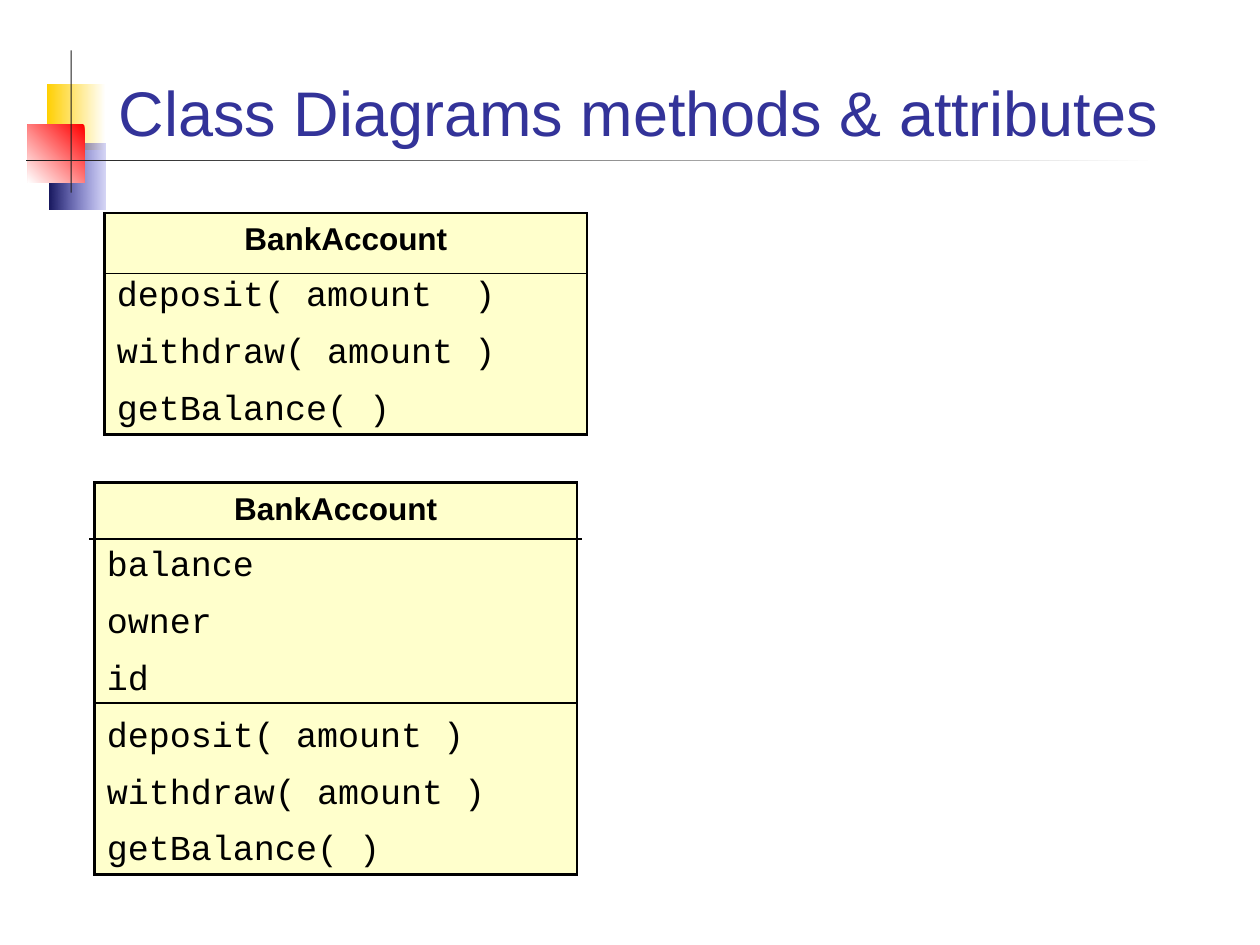
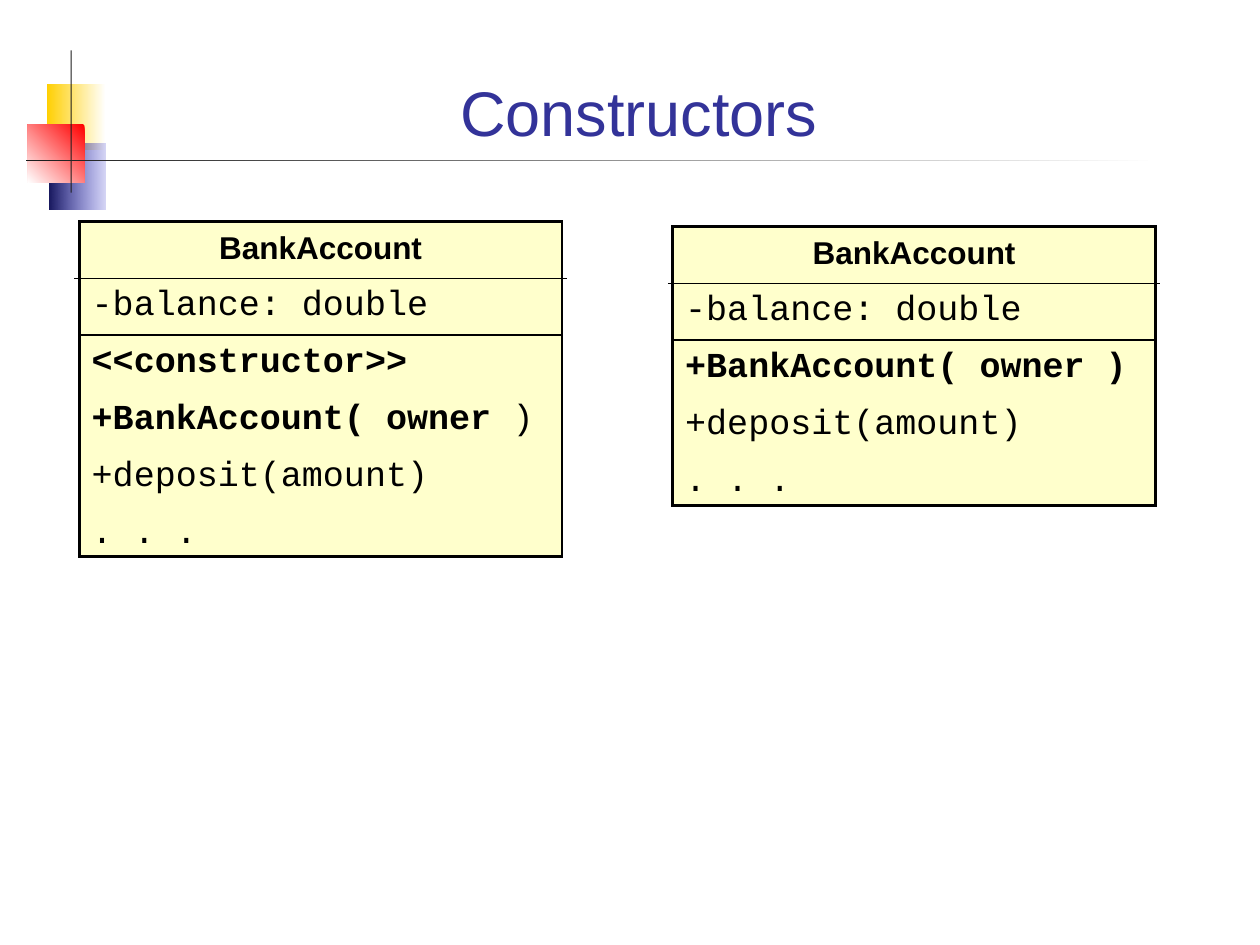
from dataclasses import dataclass
from typing import NamedTuple

from lxml import etree
from pptx import Presentation
from pptx import util as u
from pptx.dml.color import RGBColor
from pptx.enum import shapes, text
from pptx.oxml.ns import qn

HUES = {
    "title": "333399", "ink": "000000", "paper": "FFFFCC", "white": "FFFFFF",
    "gold": "FFCF01", "blue": "3333CC", "navy": "17175E", "red": "FF0000",
    "dark": "1C1C1C",
}
FONTS = {
    "title": {"name": "Arial", "size": u.Pt(36), "bold": False},
    "head": {"name": "Arial", "size": u.Pt(18), "bold": True},
    "code": {"name": "Courier New", "size": u.Pt(20), "bold": False},
}
WIDE = 3.83


class Band(NamedTuple):
    left: float
    top: float
    width: float
    height: float
    start: str
    end: str
    angle: int = 180
    alpha: int = 100


class Row(NamedTuple):
    plain: str = ""
    bold: str = ""


class Rule(NamedTuple):
    drop: float
    over: float = 0


@dataclass
class Card:
    left: float
    top: float
    height: float
    rows: list[Row]
    rules: list[Rule]
    name: str = "BankAccount"


@dataclass
class Page:
    title: str
    cards: list[Card]


BANDS = [
    Band(0.37, 0.67, 0.47, 0.52, "white", "gold"),
    Band(0.39, 1.14, 0.45, 0.52, "blue", "navy", alpha=20),
    Band(0.22, 0.99, 0.45, 0.46, "red", "white", angle=225),
    Band(0.56, 0.4, 0.01, 1.13, "dark", "dark"),
    Band(0.21, 1.27, 8.98, 0.01, "white", "dark"),
]
CALLS = [Row("withdraw( amount )"), Row("getBalance( )")]
FIELD = Row("-balance: double")
TAIL = [Row("+deposit(amount)"), Row(". . .")]
TOP = Rule(0.45, 0.04)
PAGES = [
    Page(" Class Diagrams methods & attributes", [
        Card(0.83, 1.69, 1.76, [Row("deposit( amount  )"), *CALLS], [Rule(0.48)]),
        Card(0.75, 3.83, 3.11,
             [Row("balance"), Row("owner"), Row("id"),
              Row("deposit( amount )"), *CALLS],
             [TOP, Rule(1.75)]),
    ]),
    Page(" Constructors", [
        Card(5.34, 1.8, 2.21, [FIELD, Row(bold="+BankAccount( owner )"), *TAIL],
             [TOP, Rule(0.9)]),
        Card(0.63, 1.76, 2.66,
             [FIELD, Row(bold="<<constructor>>"),
              Row(")", "+BankAccount( owner "), *TAIL],
             [TOP, Rule(0.9)]),
    ]),
]


def hue(key: str) -> RGBColor:
    return RGBColor.from_string(HUES[key])


def style(font, kind: str, color: str = "ink", **more) -> None:
    for key, value in {**FONTS[kind], **more}.items():
        setattr(font, key, value)
    font.color.rgb = hue(color)


def add_rect(slide, left: float, top: float, width: float, height: float):
    rect = slide.shapes.add_shape(
        shapes.MSO_SHAPE.RECTANGLE, *map(u.Inches, (left, top, width, height)))
    rect.shadow.inherit = False
    return rect


def add_band(slide, band: Band):
    rect = add_rect(slide, *band[:4])
    rect.line.fill.background()
    if band.start == band.end:
        rect.fill.solid()
        rect.fill.fore_color.rgb = hue(band.start)
        return rect
    rect.fill.gradient()
    rect.fill.gradient_angle = band.angle
    for stop, key, place in zip(rect.fill.gradient_stops, band[4:6], (0, 1)):
        stop.color.rgb = hue(key)
        stop.position = place
    if band.alpha < 100:
        first = next(rect.element.iter(qn("a:srgbClr")))
        etree.SubElement(first, qn("a:alpha"), val=str(band.alpha * 1000))
    return rect


def add_rule(slide, card: Card, rule: Rule) -> None:
    high = u.Inches(card.top + rule.drop)
    line = slide.shapes.add_connector(
        shapes.MSO_CONNECTOR.STRAIGHT,
        u.Inches(card.left - rule.over), high,
        u.Inches(card.left + WIDE + rule.over), high)
    line.line.color.rgb = hue("ink")
    line.line.width = u.Pt(1)
    etree.SubElement(line.element.spPr, qn("a:effectLst"))


def add_card(slide, card: Card) -> None:
    """Draw one class box with its name, rows and dividing rules."""
    rect = add_rect(slide, card.left, card.top, WIDE, card.height)
    rect.fill.solid()
    rect.fill.fore_color.rgb = hue("paper")
    rect.line.color.rgb = hue("ink")
    rect.line.width = u.Pt(1.5)
    edge = rect.element.spPr.find(qn("a:ln"))
    etree.SubElement(edge, qn("a:miter"), lim="800000")
    frame = rect.text_frame
    frame.word_wrap = True
    frame.vertical_anchor = text.MSO_ANCHOR.TOP
    head = frame.paragraphs[0]
    head.alignment = text.PP_ALIGN.CENTER
    run = head.add_run()
    run.text = card.name
    style(run.font, "head")
    for row in card.rows:
        para = frame.add_paragraph()
        para.alignment = text.PP_ALIGN.LEFT
        para.space_before = u.Pt(8.5)
        for words, bold in ((row.bold, True), (row.plain, False)):
            if words:
                run = para.add_run()
                run.text = words
                style(run.font, "code", bold=bold)
    for rule in card.rules:
        add_rule(slide, card, rule)


def set_title(slide, words: str) -> None:
    title = slide.shapes.title
    title.left, title.top, title.width, title.height = map(
        u.Inches, (0.67, 0.28, 8.66, 0.95))
    frame = title.text_frame
    frame.text = words
    frame.word_wrap = True
    frame.auto_size = text.MSO_AUTO_SIZE.NONE
    frame.vertical_anchor = text.MSO_ANCHOR.BOTTOM
    para = frame.paragraphs[0]
    para.alignment = text.PP_ALIGN.CENTER
    style(para.runs[0].font, "title", "title")


def set_bands(slide, layout) -> None:
    """Draw the bands, then move them behind the layout's placeholders."""
    tree = layout.shapes.element
    for index, band in enumerate(BANDS):
        tree.insert(2 + index, add_band(slide, band).element)


def main() -> None:
    deck = Presentation()
    deck.slide_width, deck.slide_height = u.Inches(10), u.Inches(7.5)
    layout = deck.slide_layouts.get_by_name("Title Only")
    for index, page in enumerate(PAGES):
        slide = deck.slides.add_slide(layout)
        if index == 0:
            set_bands(slide, layout)
        set_title(slide, page.title)
        for card in page.cards:
            add_card(slide, card)
    deck.save("out.pptx")


if __name__ == "__main__":
    main()
